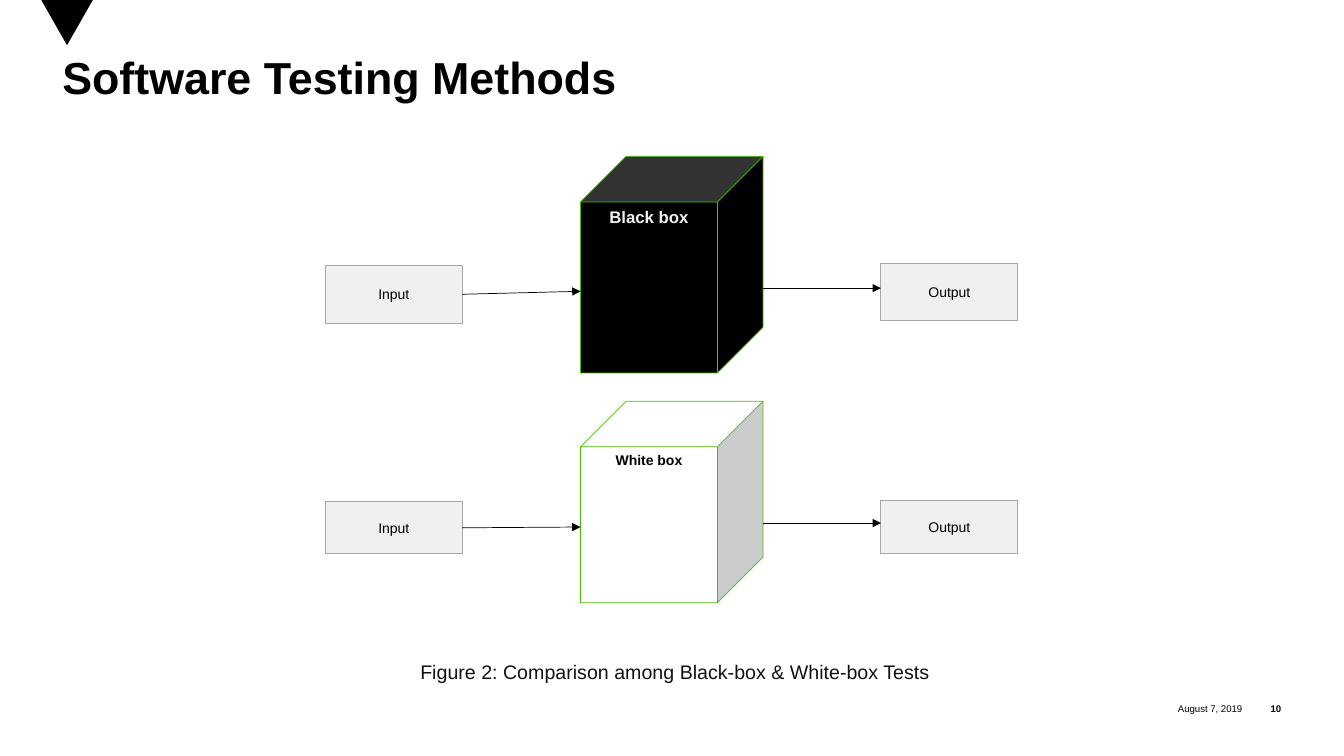
from lxml.etree import SubElement
from pptx import Presentation
from pptx.dml.color import RGBColor
from pptx.enum.shapes import MSO_CONNECTOR, MSO_SHAPE
from pptx.enum.text import MSO_ANCHOR, PP_ALIGN
from pptx.oxml.ns import qn
from pptx.util import Cm, Pt

INPUT_X, CUBE_X, OUTPUT_X = 8.2, 14.63, 22.2
BOX_W, CUBE_W = 3.45, 4.6


def rgb(value):
    """Turn a hex string into a colour."""
    return RGBColor.from_string(value)


def write(sp, text, size, color="000000", bold=False, align=PP_ALIGN.CENTER,
          anchor=MSO_ANCHOR.MIDDLE):
    """Put one run of Arial text in a shape and return its paragraph."""
    tf = sp.text_frame
    tf.vertical_anchor = anchor
    p = tf.paragraphs[0]
    p.alignment = align
    r = p.add_run()
    r.text = text
    r.font.name = "Arial"
    r.font.size = Pt(size)
    r.font.bold = bold
    r.font.color.rgb = rgb(color)
    return p


def add_label(s, x, y, w, h, text, size, wrap=True, inset=0, **style):
    """Add a text box and return its paragraph."""
    sp = s.shapes.add_textbox(Cm(x), Cm(y), Cm(w), Cm(h))
    tf = sp.text_frame
    tf.word_wrap = wrap
    tf.margin_left = tf.margin_right = Cm(inset)
    tf.margin_top = tf.margin_bottom = Cm(inset / 2)
    return write(sp, text, size, **style)


def add_solid(s, kind, x, y, w, h, fill, line=None, width=0.75):
    """Add a filled preset shape, outlined if a line colour is given."""
    sp = s.shapes.add_shape(kind, Cm(x), Cm(y), Cm(w), Cm(h))
    sp.shadow.inherit = False
    sp.fill.solid()
    sp.fill.fore_color.rgb = rgb(fill)
    if line:
        sp.line.color.rgb = rgb(line)
        sp.line.width = Pt(width)
    else:
        sp.line.fill.background()
    return sp


def add_box(s, x, y, h, text):
    """Add a grey input or output box."""
    sp = add_solid(s, MSO_SHAPE.RECTANGLE, x, y, BOX_W, h, "F0F0F0", "A6A6A6")
    write(sp, text, 10)
    return sp


def add_arrow(s, x1, y1, x2, y2):
    """Add a thin black arrow."""
    cn = s.shapes.add_connector(MSO_CONNECTOR.STRAIGHT, Cm(x1), Cm(y1), Cm(x2), Cm(y2))
    cn.line.color.rgb = rgb("000000")
    cn.line.width = Pt(0.5)
    SubElement(cn.line._get_or_add_ln(), qn("a:tailEnd"), type="triangle")
    SubElement(cn._element.spPr, qn("a:effectLst"))
    return cn


def add_test(s, name, size, fill, color, cube, source, result, in_y, out_y):
    """Add one test method: input box, cube and output box with arrows."""
    box = add_box(s, INPUT_X, *source, "Input")
    add_box(s, OUTPUT_X, *result, "Output")
    top, height = cube
    sp = add_solid(s, MSO_SHAPE.CUBE, CUBE_X, top, CUBE_W, height, fill, "4ABD00", 0.5)
    write(sp, name, size, color, bold=True, anchor=MSO_ANCHOR.TOP)
    cn = add_arrow(s, INPUT_X + BOX_W, in_y, CUBE_X, in_y)
    cn.begin_connect(box, 3)
    add_arrow(s, CUBE_X + CUBE_W, out_y, OUTPUT_X, out_y)


def main():
    """Build the slide and save it."""
    prs = Presentation()
    prs.slide_width, prs.slide_height = Cm(33.87), Cm(19.05)
    s = prs.slides.add_slide(prs.slide_layouts[6])
    add_solid(s, MSO_SHAPE.FLOWCHART_MERGE, 1.04, 0, 1.3, 1.14, "000000")
    p = add_label(s, 1.57, 1.47, 30.68, 3.28, "Software Testing Methods", 32,
                  bold=True, align=PP_ALIGN.LEFT, anchor=MSO_ANCHOR.TOP)
    p.line_spacing = 0.85
    add_test(s, "Black box", 12, "000000", "F2F2F2", cube=(3.94, 5.46),
             source=(6.68, 1.47), result=(6.65, 1.42), in_y=7.34, out_y=7.26)
    add_test(s, "White box", 10, "FFFFFF", "000000", cube=(10.11, 5.08),
             source=(12.65, 1.3), result=(12.62, 1.32), in_y=13.28, out_y=13.18)
    add_label(s, 10.31, 16.51, 13.41, 0.86,
              "Figure 2: Comparison among Black-box & White-box Tests", 14,
              wrap=False, inset=0.25, color="111111", anchor=MSO_ANCHOR.TOP)
    add_label(s, 27.53, 17.55, 3.78, 0.64, "August 7, 2019", 6.9, wrap=False,
              align=PP_ALIGN.RIGHT)
    add_label(s, 31.32, 17.55, 0.97, 0.64, "10", 6.9, bold=True, align=PP_ALIGN.RIGHT)
    prs.save("out.pptx")


if __name__ == "__main__":
    main()
